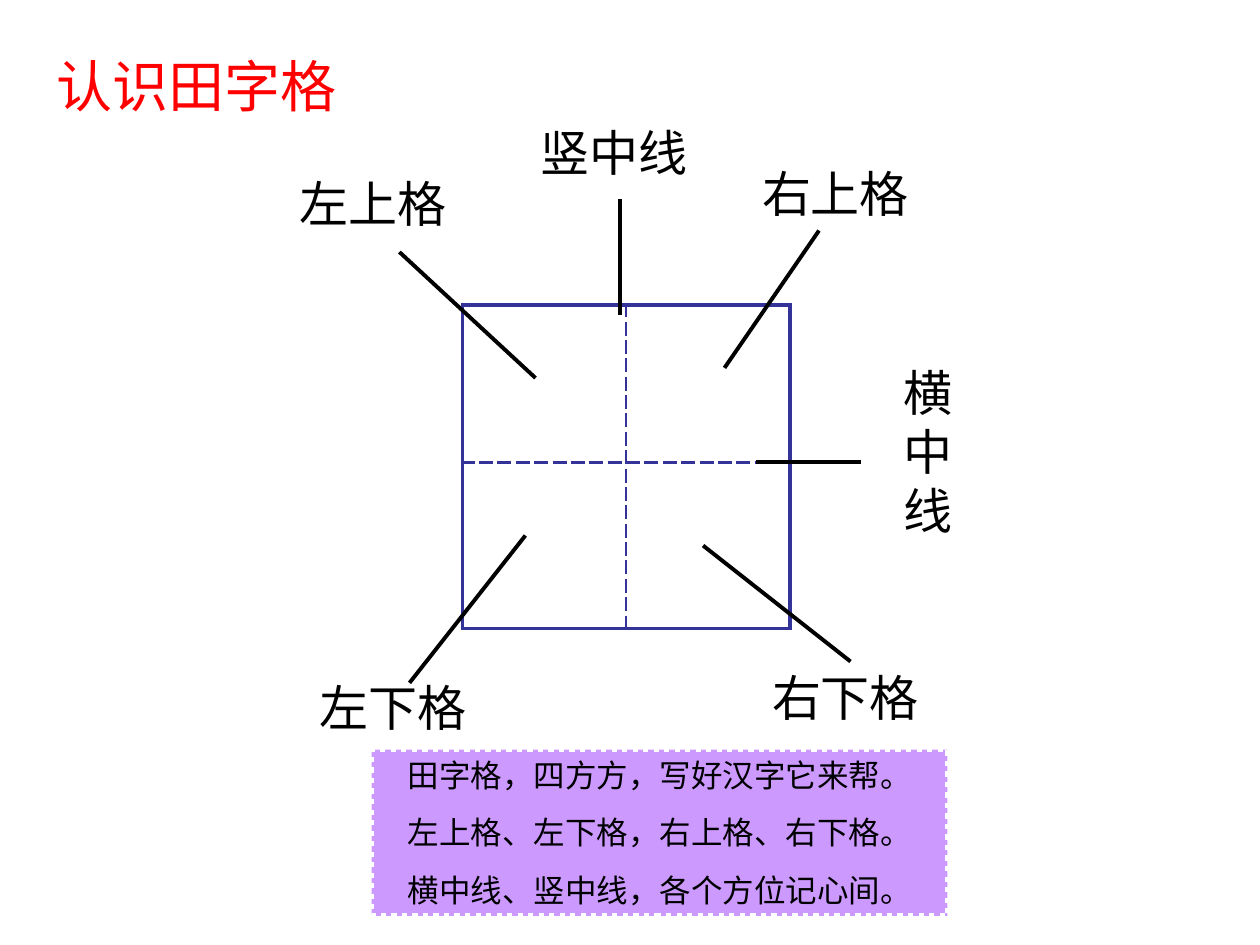
from pptx import Presentation
from pptx.dml.color import RGBColor
from pptx.enum.dml import MSO_LINE_DASH_STYLE as Dash
from pptx.enum.shapes import MSO_CONNECTOR as Connector, MSO_SHAPE as Shape
from pptx.enum.text import MSO_ANCHOR as Anchor, PP_ALIGN as Align
from pptx.oxml.ns import qn
from pptx.util import Inches, Pt
from lxml.etree import SubElement

COLORS = {"grid": "333399", "ink": "000000", "title": "FF0000",
          "panel": "CC99FF", "panel_edge": "FFFFFF"}


def color(name):
    return RGBColor.from_string(COLORS[name])


def format_text(text_frame, size, font_name, color_name, align):
    text_frame.word_wrap = True
    text_frame.vertical_anchor = Anchor.TOP
    for paragraph in text_frame.paragraphs:
        paragraph.alignment = align
        for run in paragraph.runs:
            run.font.size = Pt(size)
            run.font.name = font_name
            run.font.color.rgb = color(color_name)


presentation = Presentation()
presentation.slide_width = Inches(10)
presentation.slide_height = Inches(7.5)
slide = presentation.slides.add_slide(presentation.slide_layouts[5])
shapes = slide.shapes

# Title
title = shapes.title
title.left, title.top = Inches(0.35), Inches(0.36)
title.width, title.height = Inches(2.99), Inches(0.64)
title.text_frame.text = "认识田字格"
format_text(title.text_frame, 32, "Arial", "title", Align.LEFT)

# Character grid: solid outside, dashed inside
table = shapes.add_table(2, 2, Inches(3.67), Inches(2.42),
                         Inches(2.6), Inches(2.57)).table
table.first_row = table.horz_banding = False
for column in table.columns:
    column.width = Inches(1.3)
for row, height in zip(table.rows, (1.25, 1.32)):
    row.height = Inches(height)
for row in range(2):
    for column in range(2):
        cell = table.cell(row, column)
        cell_properties = cell._tc.get_or_add_tcPr()
        outer_sides = {"L": column == 0, "R": column == 1,
                       "T": row == 0, "B": row == 1}
        for side, is_outer in outer_sides.items():
            border = SubElement(cell_properties, qn(f"a:ln{side}"),
                                w=str(Pt(2.21 if is_outer else 1.47)))
            border_fill = SubElement(border, qn("a:solidFill"))
            SubElement(border_fill, qn("a:srgbClr"), val=COLORS["grid"])
            SubElement(border, qn("a:prstDash"),
                       val="solid" if is_outer else "dash")
        cell.fill.background()

# Labels with their pointer lines: text, box, line ends
labels = [
    ("竖中线", (4.08, 0.92, 1.58, 0.57), (4.92, 2.5, 4.92, 1.58)),
    ("左下格", (2.33, 5.33, 1.58, 0.57), (3.25, 5.42, 4.17, 4.25)),
    ("右下格", (5.92, 5.25, 1.58, 0.57), (5.58, 4.33, 6.75, 5.25)),
    ("左上格", (2.17, 1.33, 1.58, 0.57), (3.17, 2, 4.25, 3)),
    ("右上格", (5.92, 1.25, 1.42, 0.57), (5.75, 2.92, 6.5, 1.83)),
    ("横中线", (7, 2.83, 0.73, 1.5), (6, 3.67, 6.83, 3.67)),
]
for text, box, ends in labels:
    pointer = shapes.add_connector(Connector.STRAIGHT, *map(Inches, ends))
    pointer.line.color.rgb = color("ink")
    pointer.line.width = Pt(2.25)
    SubElement(pointer._element.spPr, qn("a:effectLst"))
    label = shapes.add_textbox(*map(Inches, box))
    label.text_frame.text = text
    format_text(label.text_frame, 28, "Times New Roman", "ink", Align.CENTER)

# Rhyme panel
panel = shapes.add_shape(Shape.RECTANGLE, Inches(2.95), Inches(5.95),
                         Inches(4.57), Inches(1.32))
panel.shadow.inherit = False
panel.fill.solid()
panel.fill.fore_color.rgb = color("panel")
panel.line.color.rgb = color("panel_edge")
panel.line.width = Pt(3)
panel.line.dash_style = Dash.ROUND_DOT
panel.text_frame.text = "\n".join([
    "田字格，四方方，写好汉字它来帮。",
    "左上格、左下格，右上格、右下格。",
    "横中线、竖中线，各个方位记心间。",
])
format_text(panel.text_frame, 18, "Arial", "ink", Align.CENTER)
for paragraph in panel.text_frame.paragraphs[1:]:
    paragraph.space_before = Pt(11.2)

presentation.save("out.pptx")
